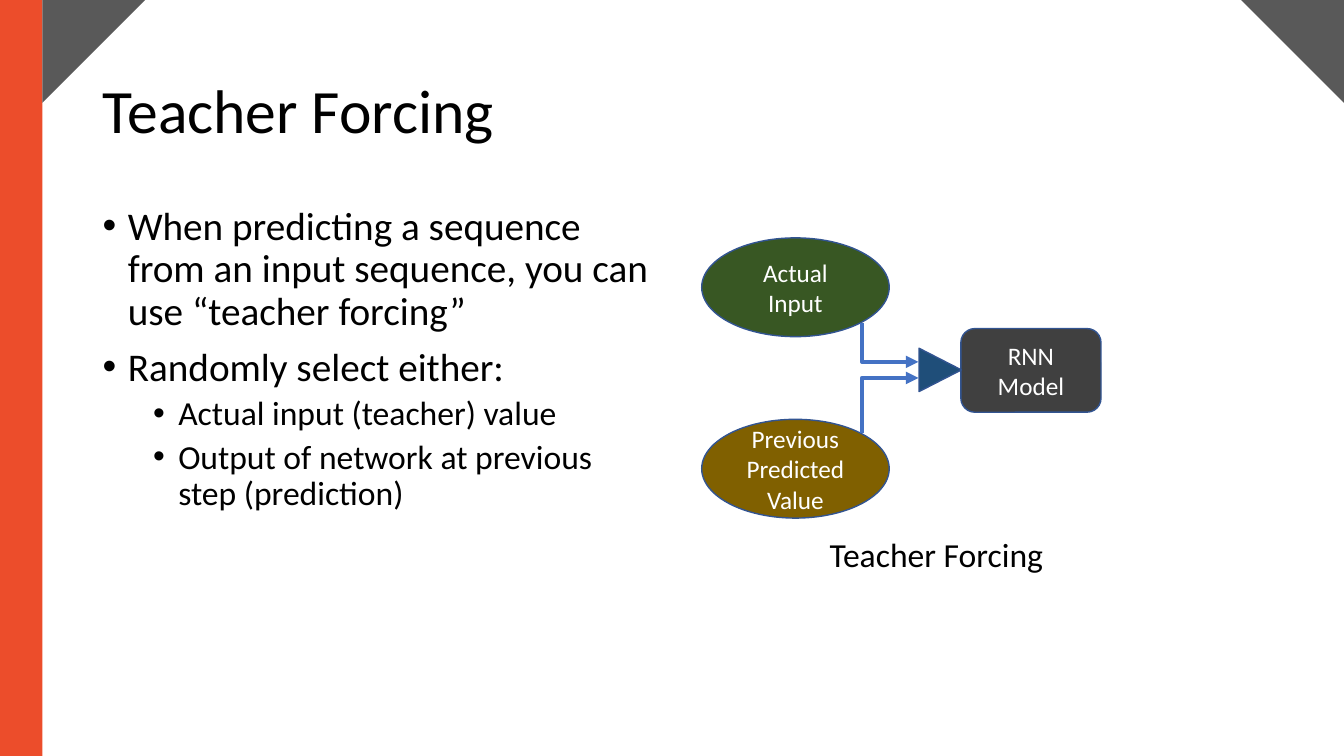
from dataclasses import dataclass

from lxml import etree
from pptx import Presentation
from pptx.dml.color import RGBColor
from pptx.enum.shapes import MSO_CONNECTOR, MSO_SHAPE
from pptx.enum.text import MSO_ANCHOR, MSO_AUTO_SIZE, PP_ALIGN
from pptx.oxml.ns import qn
from pptx.util import Inches, Pt

ELBOW = MSO_CONNECTOR.ELBOW
RECTANGLE, ROUNDED = MSO_SHAPE.RECTANGLE, MSO_SHAPE.ROUNDED_RECTANGLE
OVAL = MSO_SHAPE.OVAL
TRIANGLE, CORNER = MSO_SHAPE.ISOSCELES_TRIANGLE, MSO_SHAPE.RIGHT_TRIANGLE
TOP, MIDDLE = MSO_ANCHOR.TOP, MSO_ANCHOR.MIDDLE
LEFT, CENTER = PP_ALIGN.LEFT, PP_ALIGN.CENTER
NO_AUTOFIT = MSO_AUTO_SIZE.NONE
TITLE_ONLY = 5


@dataclass(frozen=True)
class Theme:
    font: str = "Calibri"
    ink: str = "000000"
    white: str = "FFFFFF"
    stripe: str = "EC4D2B"
    corner: str = "595959"
    actual: str = "385723"
    predicted: str = "806000"
    model: str = "404040"
    switch: str = "1F4E79"
    outline: str = "325491"
    arrow: str = "4472C4"
    title_size: int = 44
    bullet_size: int = 28
    detail_size: int = 24
    node_size: int = 18


THEME = Theme()

BULLETS = [
    (0, "When predicting a sequence from an input sequence, "
        "you can use “teacher forcing”"),
    (0, "Randomly select either:"),
    (1, "Actual input (teacher) value"),
    (1, "Output of network at previous step (prediction)"),
]


def apply_format(target, values):
    for name, value in values.items():
        setattr(target, name, value)


def inches(*lengths):
    return [Inches(length) for length in lengths]


def format_frame(frame, anchor):
    apply_format(frame, {"word_wrap": True, "auto_size": NO_AUTOFIT,
                         "vertical_anchor": anchor})


def write_para(para, text, size, color, **layout):
    apply_format(para, layout)
    span = para.add_run()
    span.text = text
    apply_format(span.font, {"name": THEME.font, "size": Pt(size)})
    span.font.color.rgb = RGBColor.from_string(color)


def add_bullet(para, margin):
    properties = para._p.get_or_add_pPr()
    properties.set("marL", str(Inches(margin)))
    properties.set("indent", str(Inches(-0.25)))
    etree.SubElement(properties, qn("a:buFont")).set("typeface", "Arial")
    etree.SubElement(properties, qn("a:buChar")).set("char", "•")


def add_title(page, text):
    title = page.shapes.title
    left, top, width, height = inches(0.92, 0.4, 11.5, 1.45)
    apply_format(title, {"left": left, "top": top,
                         "width": width, "height": height})
    format_frame(title.text_frame, MIDDLE)
    write_para(title.text_frame.paragraphs[0], text, THEME.title_size,
               THEME.ink, alignment=LEFT, line_spacing=0.9)


def add_text_box(page, at):
    box = page.shapes.add_textbox(*inches(*at))
    format_frame(box.text_frame, TOP)
    return box.text_frame


def add_bullets(page, at, items):
    frame = add_text_box(page, at)
    for index, (level, text) in enumerate(items):
        para = frame.add_paragraph() if index else frame.paragraphs[0]
        add_bullet(para, 0.25 + 0.5 * level)
        size = THEME.detail_size if level else THEME.bullet_size
        before = 0 if index == 0 else 5 if level else 10
        write_para(para, text, size, THEME.ink, level=level,
                   line_spacing=0.9, space_before=Pt(before))


def add_caption(page, at, text):
    frame = add_text_box(page, at)
    write_para(frame.paragraphs[0], text, THEME.detail_size, THEME.ink,
               line_spacing=0.9)


def add_filled(page, kind, at, fill, outline=None, rotation=0):
    shape = page.shapes.add_shape(kind, *inches(*at))
    shape.shadow.inherit = False
    shape.rotation = rotation
    shape.fill.solid()
    shape.fill.fore_color.rgb = RGBColor.from_string(fill)
    if outline:
        shape.line.color.rgb = RGBColor.from_string(outline)
        shape.line.width = Pt(1)
    else:
        shape.line.fill.background()
    return shape


def add_node(page, kind, at, fill, text):
    node = add_filled(page, kind, at, fill, THEME.outline)
    format_frame(node.text_frame, MIDDLE)
    write_para(node.text_frame.paragraphs[0], text, THEME.node_size,
               THEME.white, alignment=CENTER)


def add_elbow_arrow(page, start, end):
    """Draw an arrow that runs vertically from start, then right to end."""
    (x1, y1), (x2, y2) = start, end
    middle_x, middle_y = (x1 + x2) / 2, (y1 + y2) / 2
    half_run, half_rise = (x2 - x1) / 2, abs(y2 - y1) / 2
    downward = y2 > y1
    turn = -half_run if downward else half_run
    # The box is laid out unrotated, then turned about its centre.
    arrow = page.shapes.add_connector(ELBOW, *inches(
        middle_x + half_rise, middle_y + turn,
        middle_x - half_rise, middle_y - turn))
    arrow.line.color.rgb = RGBColor.from_string(THEME.arrow)
    arrow.line.width = Pt(3)
    properties = arrow._element.spPr
    properties.find(qn("a:prstGeom")).set("prst", "bentConnector2")
    degrees = 270 if downward else 90
    properties.find(qn("a:xfrm")).set("rot", str(degrees * 60000))
    line = properties.find(qn("a:ln"))
    etree.SubElement(line, qn("a:tailEnd")).set("type", "triangle")
    etree.SubElement(properties, qn("a:effectLst"))


def add_decoration(page):
    add_filled(page, RECTANGLE, (0, 0, 0.42, 7.5), THEME.stripe)
    for left, rotation in ((0.42, 90), (12.31, 180)):
        add_filled(page, CORNER, (left, 0, 1.02, 1.02), THEME.corner,
                   rotation=rotation)


def add_diagram(page):
    add_node(page, OVAL, (6.96, 2.36, 1.86, 0.98), THEME.actual,
             "Actual Input")
    add_node(page, OVAL, (6.96, 4.16, 1.86, 0.98), THEME.predicted,
             "Previous Predicted Value")
    add_node(page, ROUNDED, (9.53, 3.26, 1.39, 0.83), THEME.model,
             "RNN Model")
    for start_y, end_y in ((3.2, 3.59), (4.3, 3.75)):
        add_elbow_arrow(page, (8.55, start_y), (9.11, end_y))
    add_filled(page, TRIANGLE, (9.11, 3.46, 0.43, 0.42), THEME.switch,
               THEME.outline, rotation=90)


def main():
    deck = Presentation()
    deck.slide_width, deck.slide_height = inches(13.33, 7.5)
    page = deck.slides.add_slide(deck.slide_layouts[TITLE_ONLY])
    add_decoration(page)
    add_title(page, "Teacher Forcing")
    add_bullets(page, (0.92, 2, 5.67, 4.76), BULLETS)
    add_caption(page, (8.13, 5.29, 2.38, 0.51), "Teacher Forcing")
    add_diagram(page)
    deck.save("out.pptx")


if __name__ == "__main__":
    main()
